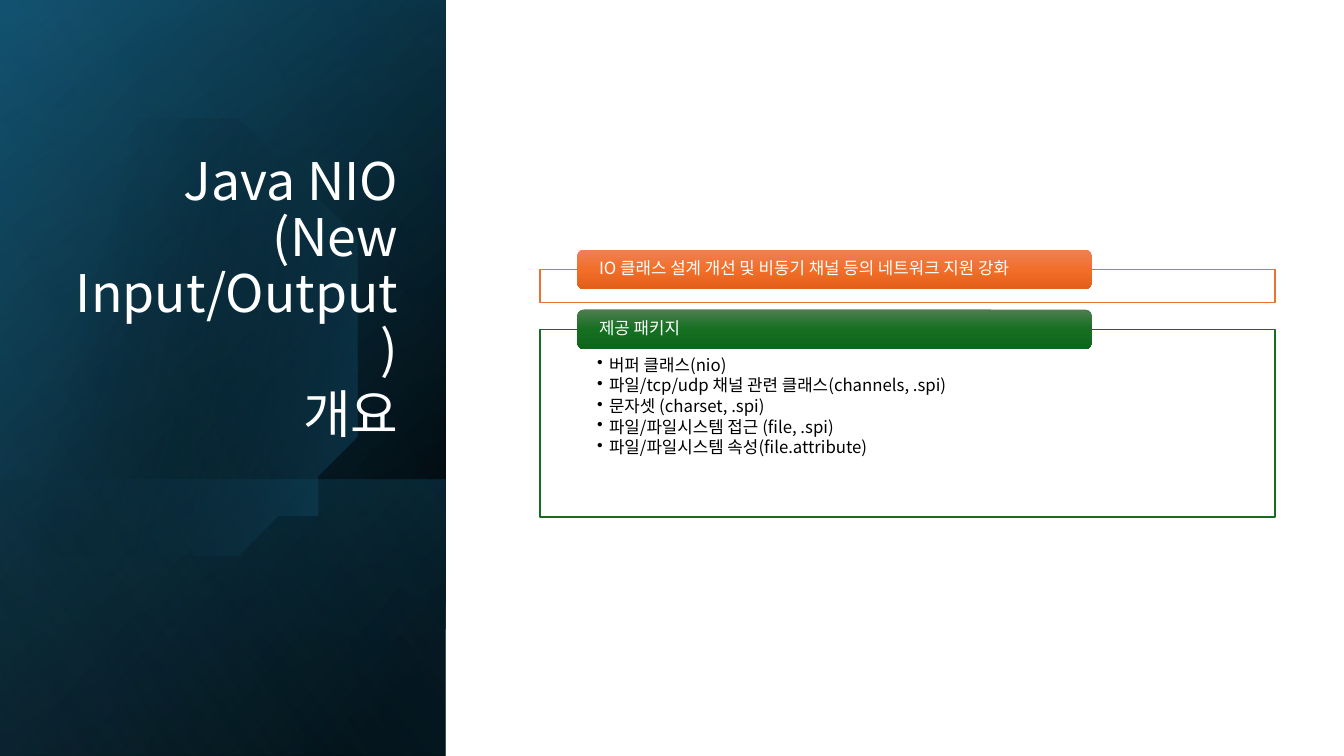
from lxml import etree
from pptx import Presentation, util as u
from pptx.dml.color import RGBColor
from pptx.enum import shapes, text
from pptx.oxml.ns import qn

FONT = "Noto Sans CJK KR"
BLACK = RGBColor(0x00, 0x00, 0x00)
WHITE = RGBColor(0xFF, 0xFF, 0xFF)
NAVY = RGBColor(0x10, 0x48, 0x62)
TEAL = RGBColor(0x15, 0x60, 0x82)
SKY = RGBColor(0x46, 0xB1, 0xE1)
ORANGE = RGBColor(0xE9, 0x71, 0x32)
GREEN = RGBColor(0x19, 0x6B, 0x24)
ORANGE_STOPS = [
    (0, RGBColor(0xED, 0x82, 0x57), 100),
    (50, RGBColor(0xF2, 0x6E, 0x29), 100),
    (100, RGBColor(0xE2, 0x5F, 0x1A), 100),
]
GREEN_STOPS = [
    (0, RGBColor(0x4D, 0x7E, 0x50), 100),
    (50, RGBColor(0x15, 0x6F, 0x21), 100),
    (100, RGBColor(0x0F, 0x66, 0x1B), 100),
]
PANEL_WIDTH, SLIDE_HEIGHT = 11.23, 19.05
PACKAGES = [
    "버퍼 클래스(nio)",
    "파일/tcp/udp 채널 관련 클래스(channels, .spi)",
    "문자셋 (charset, .spi)",
    "파일/파일시스템 접근 (file, .spi)",
    "파일/파일시스템 속성(file.attribute)",
]
CIRCLE_START = (3.78, 2.79)
CIRCLE_CURVES = [
    [(6.25, 2.84), (8.51, 4.5), (9.22, 6.99)],
    [(10.11, 10.08), (8.33, 13.29), (5.26, 14.17)],
    [(3.33, 14.73), (1.35, 14.25), (0, 13.06)],
    [(0, 11), (0, 6.5), (0, 4.09)],
    [(0.58, 3.61), (1.27, 3.25), (2.03, 3.02)],
    [(2.62, 2.87), (3.2, 2.79), CIRCLE_START],
]


def fill_gradient(shape, stops, angle):
    """Fill a shape with (position, colour, opacity) stops and no outline."""
    shape.shadow.inherit = False
    shape.line.fill.background()
    shape.fill.gradient()
    gradient = shape._element.spPr.find(qn("a:gradFill"))
    gradient.set("rotWithShape", "1")
    for child in list(gradient):
        gradient.remove(child)
    stop_list = etree.SubElement(gradient, qn("a:gsLst"))
    for position, color, opacity in stops:
        stop = etree.SubElement(stop_list, qn("a:gs"), pos=str(position * 1000))
        value = etree.SubElement(stop, qn("a:srgbClr"), val=str(color))
        etree.SubElement(value, qn("a:alpha"), val=str(opacity * 1000))
    etree.SubElement(gradient, qn("a:lin"), ang=str(angle * 60000), scaled="0")


def add_panel_layer(slide, top, stops, angle):
    """Add a turned, mirrored rectangle from top to the foot of the side panel."""
    length = SLIDE_HEIGHT - top
    left = (PANEL_WIDTH - length) / 2
    shape = slide.shapes.add_shape(
        shapes.MSO_SHAPE.RECTANGLE, u.Cm(left), u.Cm(top - left),
        u.Cm(length), u.Cm(PANEL_WIDTH))
    shape.rotation = 90
    shape._element.spPr.find(qn("a:xfrm")).set("flipH", "1")
    fill_gradient(shape, stops, angle)


def curve_points(start, curves, steps=16):
    """Return points along a chain of cubic curves."""
    points = []
    for first, second, end in curves:
        for step in range(1, steps + 1):
            t = step / steps
            weights = ((1 - t) ** 3, 3 * t * (1 - t) ** 2, 3 * t * t * (1 - t), t ** 3)
            corners = (start, first, second, end)
            points.append(tuple(
                sum(weight * corner[axis] for weight, corner in zip(weights, corners))
                for axis in (0, 1)))
        start = end
    return points


def add_circle(slide):
    """Add the faint circle cut by the left edge of the slide."""
    builder = slide.shapes.build_freeform(*CIRCLE_START, scale=u.Cm(1))
    builder.add_line_segments(curve_points(CIRCLE_START, CIRCLE_CURVES), close=True)
    fill_gradient(builder.convert_to_shape(), [(29, BLACK, 0), (100, TEAL, 43)], 14)


def format_text(frame, size, color, align, space_after):
    """Format every paragraph and run of a text frame."""
    for paragraph in frame.paragraphs:
        paragraph.alignment = align
        paragraph.line_spacing = 0.9
        paragraph.space_before = u.Pt(0)
        paragraph.space_after = u.Pt(space_after)
        for run in paragraph.runs:
            run.font.size = u.Pt(size)
            run.font.name = FONT
            run.font.color.rgb = color
            etree.SubElement(run._r.get_or_add_rPr(), qn("a:ea"), typeface=FONT)


def set_margins(frame, side, top, bottom):
    """Set the inner margins of a wrapping text frame."""
    frame.word_wrap = True
    frame.margin_left = frame.margin_right = u.Cm(side)
    frame.margin_top, frame.margin_bottom = u.Cm(top), u.Cm(bottom)


def add_bullets(frame):
    """Give each paragraph a hanging bullet."""
    for paragraph in frame.paragraphs:
        properties = paragraph._p.get_or_add_pPr()
        properties.set("marL", str(u.Cm(0.3)))
        properties.set("indent", str(-u.Cm(0.3)))
        etree.SubElement(properties, qn("a:buChar"), char="•")


def add_section(slide, top, height, color, stops, heading, items):
    """Add an outlined box with its bullets and a heading tab over its top edge."""
    box = slide.shapes.add_shape(
        shapes.MSO_SHAPE.RECTANGLE, u.Cm(13.61), u.Cm(top), u.Cm(18.52), u.Cm(height))
    box.shadow.inherit = False
    box.fill.solid()
    box.fill.fore_color.rgb = WHITE
    box.line.color.rgb = color
    box.line.width = u.Pt(1)
    if items:
        frame = box.text_frame
        frame.text = "\n".join(items)
        set_margins(frame, 1.44, 0.69, 0.23)
        frame.vertical_anchor = text.MSO_ANCHOR.TOP
        format_text(frame, 12, BLACK, text.PP_ALIGN.LEFT, 1.8)
        add_bullets(frame)
    tab = slide.shapes.add_shape(
        shapes.MSO_SHAPE.ROUNDED_RECTANGLE, u.Cm(14.55), u.Cm(top - 0.5),
        u.Cm(12.96), u.Cm(1))
    fill_gradient(tab, stops, 90)
    tab.text_frame.text = heading
    set_margins(tab.text_frame, 0.5, 0, 0)
    tab.text_frame.vertical_anchor = text.MSO_ANCHOR.MIDDLE
    format_text(tab.text_frame, 12, WHITE, text.PP_ALIGN.LEFT, 0)


def place_title(slide):
    """Move the title onto the side panel and format it."""
    title = slide.shapes.title
    title.left, title.top = u.Cm(1.63), u.Cm(4.67)
    title.width, title.height = u.Cm(8.66), u.Cm(6.65)
    frame = title.text_frame
    frame.text = "Java NIO (New Input/Output)\n개요"
    frame.word_wrap = True
    frame.auto_size = text.MSO_AUTO_SIZE.NONE
    frame.vertical_anchor = text.MSO_ANCHOR.BOTTOM
    format_text(frame, 37, WHITE, text.PP_ALIGN.RIGHT, 6)
    slide.shapes._spTree.append(title._element)


def main():
    """Build and save the slide."""
    presentation = Presentation()
    presentation.slide_width, presentation.slide_height = u.Cm(33.87), u.Cm(SLIDE_HEIGHT)
    slide = presentation.slides.add_slide(presentation.slide_layouts[5])
    add_panel_layer(slide, 0, [(8, BLACK, 100), (100, NAVY, 100)], 50)
    add_panel_layer(slide, 0, [(0, BLACK, 0), (99, TEAL, 46)], 30)
    add_panel_layer(slide, 12.09, [(2, TEAL, 29), (100, BLACK, 30)], 130)
    add_circle(slide)
    add_panel_layer(slide, 0, [(0, BLACK, 0), (99, SKY, 11)], 120)
    place_title(slide)
    add_section(slide, 6.79, 0.83, ORANGE, ORANGE_STOPS,
                "IO 클래스 설계 개선 및 비동기 채널 등의 네트워크 지원 강화", [])
    add_section(slide, 8.3, 4.73, GREEN, GREEN_STOPS, "제공 패키지", PACKAGES)
    presentation.save("out.pptx")


if __name__ == "__main__":
    main()
